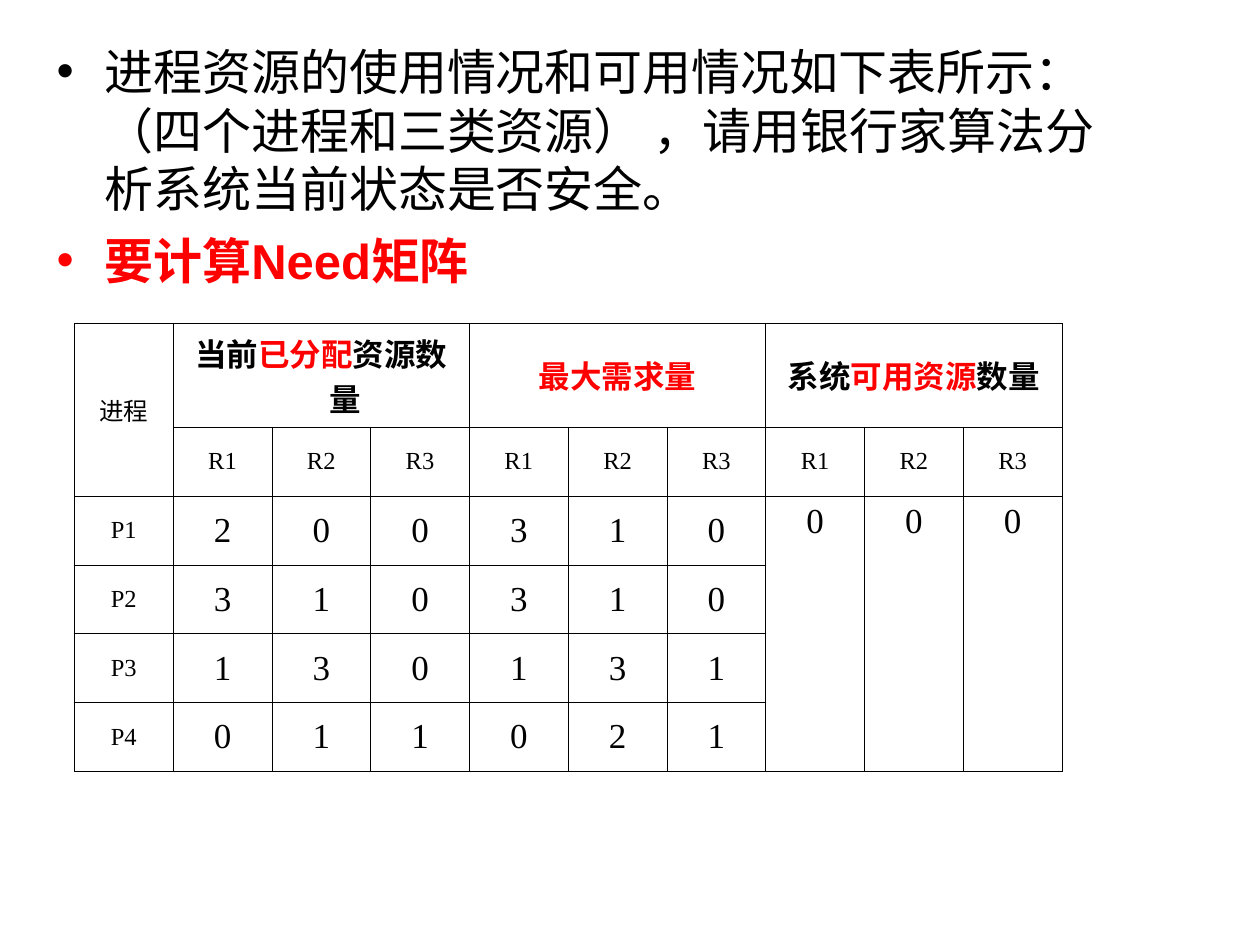
import pptx
import pptx.dml.color
import pptx.enum.text
import pptx.oxml
import pptx.oxml.ns
import pptx.util

COLORS = {"text": "000000", "accent": "FF0000", "border": "000000"}
HANGING = pptx.util.Inches(0.38)
GROUPS = [
    [("当前", "text"), ("已分配", "accent"), ("资源数量", "text")],
    [("最大需求量", "accent")],
    [("系统", "text"), ("可用资源", "accent"), ("数量", "text")],
]
RESOURCES = ["R1", "R2", "R3"]
PROCESSES = {
    "P1": [2, 0, 0, 3, 1, 0],
    "P2": [3, 1, 0, 3, 1, 0],
    "P3": [1, 3, 0, 1, 3, 1],
    "P4": [0, 1, 1, 0, 2, 1],
}
AVAILABLE = [0, 0, 0]


class SlideBuilder:
    body_font = "Arial"
    table_font = "Times New Roman"
    border_width = 0.45
    inner_width = 0.34

    def __init__(self, presentation):
        self.width = presentation.slide_width
        self.height = presentation.slide_height
        self.slide = presentation.slides.add_slide(presentation.slide_layouts[1])
        title = self.slide.shapes.title
        title.element.getparent().remove(title.element)

    def box(self, left, top, width, height):
        return (round(left * self.width), round(top * self.height),
                round(width * self.width), round(height * self.height))

    def add_run(self, paragraph, text, font, size, color="text", bold=False):
        run = paragraph.add_run()
        run.text = text
        run.font.name = font
        run.font.size = pptx.util.Pt(size)
        run.font.bold = bold
        run.font.color.rgb = pptx.dml.color.RGBColor.from_string(COLORS[color])

    def hang(self, paragraph):
        properties = paragraph._p.get_or_add_pPr()
        properties.set("marL", str(HANGING))
        properties.set("indent", str(-HANGING))
        return properties

    def bullets(self, box, items):
        shape = self.slide.placeholders[1]
        shape.left, shape.top, shape.width, shape.height = self.box(*box)
        frame = shape.text_frame
        frame.word_wrap = True
        frame.auto_size = pptx.enum.text.MSO_AUTO_SIZE.NONE
        for index, (text, color, bold) in enumerate(items):
            paragraph = frame.add_paragraph() if index else frame.paragraphs[0]
            properties = self.hang(paragraph)
            namespace = pptx.oxml.ns.nsdecls("a")
            for xml in (f'<a:buClr {namespace}><a:srgbClr val="{COLORS[color]}"/></a:buClr>',
                        f'<a:buFont {namespace} typeface="{self.body_font}"/>',
                        f'<a:buChar {namespace} char="•"/>'):
                properties.append(pptx.oxml.parse_xml(xml))
            paragraph.space_before = pptx.util.Pt(7 if index else 0)
            self.add_run(paragraph, text, self.body_font, 28, color, bold)

    def table(self, box, rows, columns, header_share):
        left, top, width, height = self.box(*box)
        table = self.slide.shapes.add_table(rows, columns, left, top, width, height).table
        table.first_row = table.horz_banding = False
        for column in table.columns:
            column.width = width // columns
        header = round(height * header_share)
        for index, row in enumerate(table.rows):
            row.height = (height - header) // (rows - 1) if index else header
        for row in range(rows):
            for column in range(columns):
                inner = column < 7
                self.borders(table.cell(row, column), inner and row > 2,
                             inner and 2 <= row < rows - 1)
        return table

    def borders(self, cell, thin_top, thin_bottom):
        properties = cell._tc.get_or_add_tcPr()
        for side, thin in (("L", False), ("R", False), ("T", thin_top), ("B", thin_bottom)):
            width = pptx.util.Pt(self.inner_width if thin else self.border_width)
            properties.append(pptx.oxml.parse_xml(
                f'<a:ln{side} {pptx.oxml.ns.nsdecls("a")} w="{width}"><a:solidFill>'
                f'<a:srgbClr val="{COLORS["border"]}"/></a:solidFill></a:ln{side}>'))
        cell.fill.background()

    def cell(self, cell, parts, size, bold=False, anchor="MIDDLE"):
        cell.vertical_anchor = pptx.enum.text.MSO_ANCHOR[anchor]
        paragraph = cell.text_frame.paragraphs[0]
        self.hang(paragraph)
        paragraph.alignment = pptx.enum.text.PP_ALIGN.CENTER
        for text, color in parts:
            self.add_run(paragraph, text, self.table_font, size, color, bold)


def fill_resource_table(builder, table):
    table.cell(0, 0).merge(table.cell(1, 0))
    builder.cell(table.cell(0, 0), [("进程", "text")], 14)
    for group, parts in enumerate(GROUPS):
        first = 1 + group * len(RESOURCES)
        table.cell(0, first).merge(table.cell(0, first + len(RESOURCES) - 1))
        builder.cell(table.cell(0, first), parts, 18, bold=True)
        for offset, name in enumerate(RESOURCES):
            builder.cell(table.cell(1, first + offset), [(name, "text")], 14)
    for row, (process, values) in enumerate(PROCESSES.items(), start=2):
        builder.cell(table.cell(row, 0), [(process, "text")], 14)
        for column, value in enumerate(values, start=1):
            builder.cell(table.cell(row, column), [(str(value), "text")], 20)
    for column, value in enumerate(AVAILABLE, start=7):
        table.cell(2, column).merge(table.cell(5, column))
        builder.cell(table.cell(2, column), [(str(value), "text")], 20, anchor="TOP")


def main():
    presentation = pptx.Presentation()
    presentation.slide_width = pptx.util.Inches(10)
    presentation.slide_height = pptx.util.Inches(7.5)
    builder = SlideBuilder(presentation)
    builder.bullets((0.035, 0.037, 0.868, 0.803), [
        ("进程资源的使用情况和可用情况如下表所示：（四个进程和三类资源） ，"
         "请用银行家算法分析系统当前状态是否安全。", "text", False),
        ("要计算Need矩阵", "accent", True),
    ])
    table = builder.table((0.059, 0.342, 0.784, 0.456), 6, 10, 0.2)
    fill_resource_table(builder, table)
    presentation.save("out.pptx")


if __name__ == "__main__":
    main()
